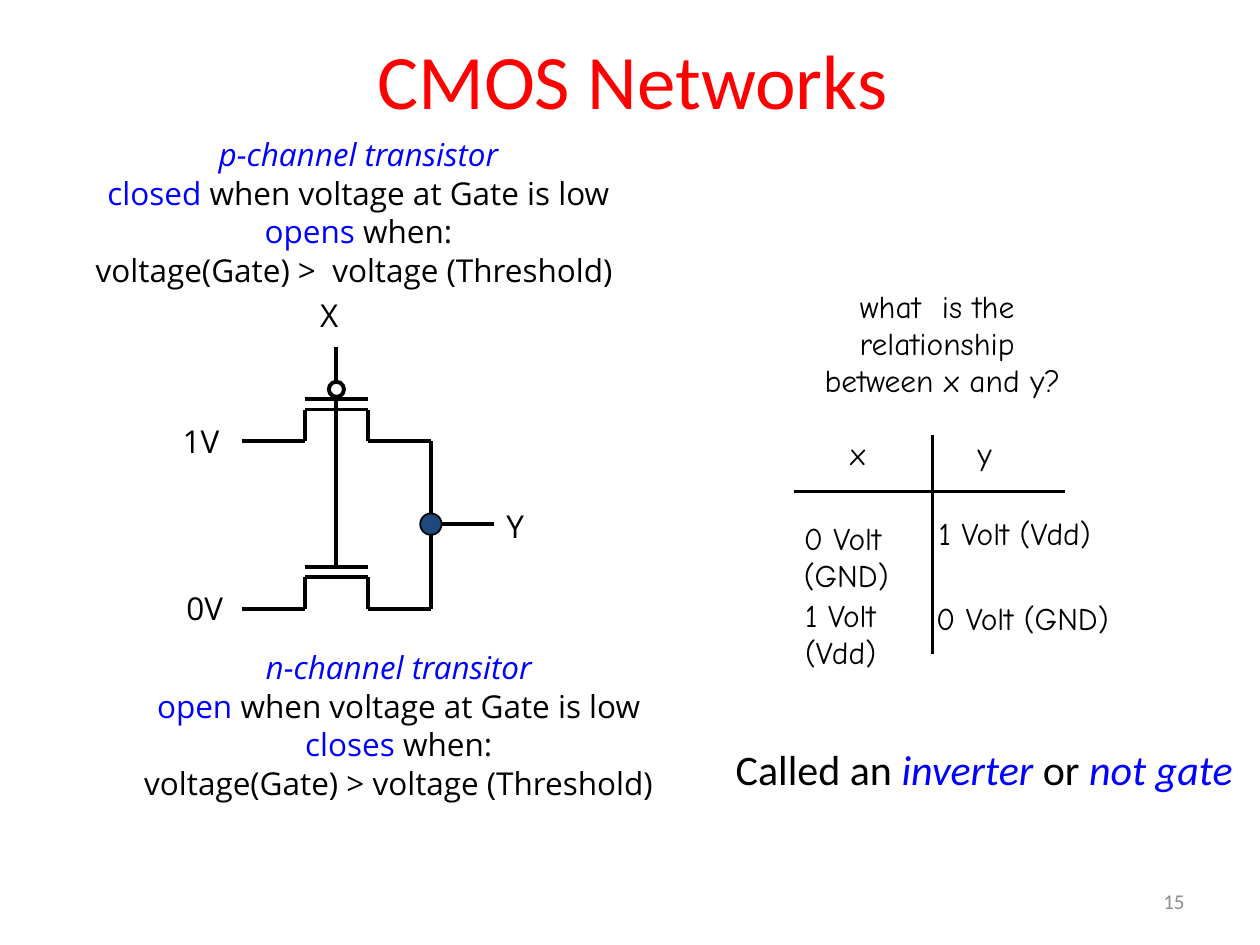
from lxml import etree
from pptx import Presentation
from pptx.dml.color import RGBColor
from pptx.enum.shapes import MSO_CONNECTOR, MSO_SHAPE
from pptx.enum.text import MSO_ANCHOR, MSO_AUTO_SIZE, PP_ALIGN
from pptx.oxml.ns import qn
from pptx.util import Inches, Pt

LEFT, CENTER, RIGHT = PP_ALIGN.LEFT, PP_ALIGN.CENTER, PP_ALIGN.RIGHT
TOP, MIDDLE = MSO_ANCHOR.TOP, MSO_ANCHOR.MIDDLE
STRAIGHT, OVAL = MSO_CONNECTOR.STRAIGHT, MSO_SHAPE.OVAL
NO_FIT = MSO_AUTO_SIZE.NONE
BLACK, BLUE, RED, GREY, NAVY, WHITE = (
    "000000", "0000FF", "FF0000", "8C8C8C", "1F497D", "FFFFFF")
BODY, HAND, PLAIN = "Open Sans", "Comic Neue", "Calibri"
TIGHT, ROOMY = (0.02, 0.03), (0.1, 0.05)
STEP = 0.25
GATE_GAP = 0.08


def color(value):
    return RGBColor.from_string(value)


def write(holder, paragraphs, font=BODY, size=18, align=LEFT, spacing=None,
          anchor=TOP, inset=TIGHT, wrap=False):
    frame = holder.text_frame
    frame.word_wrap = wrap
    frame.auto_size = NO_FIT
    frame.vertical_anchor = anchor
    frame.margin_left = frame.margin_right = Inches(inset[0])
    frame.margin_top = frame.margin_bottom = Inches(inset[1])
    for index, runs in enumerate(paragraphs):
        paragraph = frame.add_paragraph() if index else frame.paragraphs[0]
        paragraph.alignment = align
        if spacing:
            paragraph.line_spacing = Pt(spacing)
        for words, tint, italic in runs:
            for row, part in enumerate(words.split("\n")):
                if row:
                    paragraph.add_line_break()
                if part:
                    run = paragraph.add_run()
                    run.text = part
                    run.font.name = font
                    run.font.size = Pt(size)
                    run.font.italic = italic
                    run.font.color.rgb = color(tint)


def text(shapes, box, paragraphs, **look):
    write(shapes.add_textbox(*map(Inches, box)), paragraphs, **look)


def label(shapes, left, top, *lines, width=0.4, font=BODY):
    text(shapes, (left, top, width, 0.45),
         [[(line, BLACK, False)] for line in lines], font=font, spacing=21)


def wire(shapes, points, weight=2.25):
    for start, end in zip(points, points[1:]):
        segment = shapes.add_connector(STRAIGHT, *map(Inches, start + end))
        segment.line.color.rgb = color(BLACK)
        segment.line.width = Pt(weight)
        etree.SubElement(segment._element.spPr, qn("a:effectLst"))


def dot(shapes, center_x, center_y, size, fill, weight):
    circle = shapes.add_shape(OVAL, *map(Inches, (
        center_x - size / 2, center_y - size / 2, size, size)))
    circle.shadow.inherit = False
    circle.fill.solid()
    circle.fill.fore_color.rgb = color(fill)
    circle.line.color.rgb = color(BLACK)
    circle.line.width = Pt(weight)


def transistor(shapes, left, top, inverted):
    parts = shapes.add_group_shape().shapes
    columns = [left + STEP * n for n in range(7)]
    channel = top + STEP + GATE_GAP
    base = channel + STEP
    wire(parts, [(columns[0], base), (columns[2], base), (columns[2], channel),
                 (columns[4], channel), (columns[4], base), (columns[6], base)])
    wire(parts, [(columns[2], top + STEP), (columns[4], top + STEP)])
    wire(parts, [(columns[3], top), (columns[3], top + STEP)])
    if inverted:
        dot(parts, columns[3], top + 0.17, 0.12, WHITE, 2.25)


def circuit(shapes, left, top):
    upper, lower = top + 0.17, top + 1.5
    input_x, output_x = left + 3 * STEP, left + 6 * STEP
    output_y = top + 1.41
    wire(shapes, [(output_x, top + 0.75), (output_x, top + 2.08)])
    wire(shapes, [(output_x, output_y), (output_x + 0.5, output_y)])
    wire(shapes, [(input_x, top), (input_x, lower + 0.09)])
    transistor(shapes, left, lower, False)
    transistor(shapes, left, upper, True)
    dot(shapes, output_x, output_y, 0.17, NAVY, 1)
    for dx, dy, name in ((0.6, -0.42, "X"), (-0.49, 0.58, "1V"),
                         (-0.46, 1.9, "0V"), (2.08, 1.25, "Y")):
        label(shapes, left + dx, top + dy, name)


def transistor_rule(shapes, box, kind, first, second, condition):
    text(shapes, box, [
        [(kind + "\n", BLUE, True), (first + " ", BLUE, False),
         ("when voltage at Gate is low\n", BLACK, False),
         (second + " ", BLUE, False), ("when:", BLACK, False)],
        [(condition, BLACK, False)]], align=CENTER, spacing=22)


def truth_table(shapes, left, top, width, height):
    divider_x, divider_y = left + 1.1, top + 0.45
    wire(shapes, [(left, divider_y), (left + width, divider_y)], weight=2)
    wire(shapes, [(divider_x, top), (divider_x, top + height)], weight=2)
    for dx, name in ((0.43, "x"), (1.44, "y")):
        label(shapes, left + dx, top - 0.03, name, font=HAND)
    for dx, dy, lines in ((0.06, 0.65, ("0 Volt", "(GND)")),
                          (0.07, 1.26, ("1 Volt", "(Vdd)")),
                          (1.13, 0.61, ("1 Volt (Vdd)",)),
                          (1.11, 1.28, ("0 Volt (GND)",))):
        label(shapes, left + dx, top + dy, *lines, width=0.97, font=HAND)


def heading(title, box, words):
    title.left, title.top, title.width, title.height = map(Inches, box)
    write(title, [[(words, RED, False)]], font=PLAIN, size=44, align=CENTER,
          anchor=MIDDLE, inset=ROOMY, wrap=True)


deck = Presentation()
deck.slide_width, deck.slide_height = Inches(10), Inches(7.5)
slide = deck.slides.add_slide(deck.slide_layouts[5])
shapes = slide.shapes

heading(shapes.title, (0.52, 0, 9, 1.25), "CMOS Networks")
circuit(shapes, 1.92, 2.75)
transistor_rule(shapes, (0, 1.04, 5.69, 1.37), "p-channel transistor",
                "closed", "opens", "voltage(Gate) >  voltage (Threshold) ")
transistor_rule(shapes, (0.98, 5.11, 4.37, 1.37), "n-channel transitor",
                "open", "closes", "voltage(Gate) > voltage (Threshold)")
text(shapes, (6.33, 2.26, 2.3, 1.03),
     [[("what  is the \nrelationship \nbetween x and y?", BLACK, False)]],
     font=HAND, align=CENTER, spacing=21)
truth_table(shapes, 6.3, 3.45, 2.15, 1.74)
text(shapes, (5.74, 5.85, 4.26, 0.5),
     [[("Called an ", BLACK, False), ("inverter ", BLUE, True),
       ("or ", BLACK, False), ("not gate", BLUE, True)]],
     font=PLAIN, size=24, inset=ROOMY)
text(shapes, (7.17, 6.95, 2.33, 0.4), [[("15", GREY, False)]],
     font=PLAIN, size=12, align=RIGHT, anchor=MIDDLE, inset=ROOMY, wrap=True)

deck.save("out.pptx")
